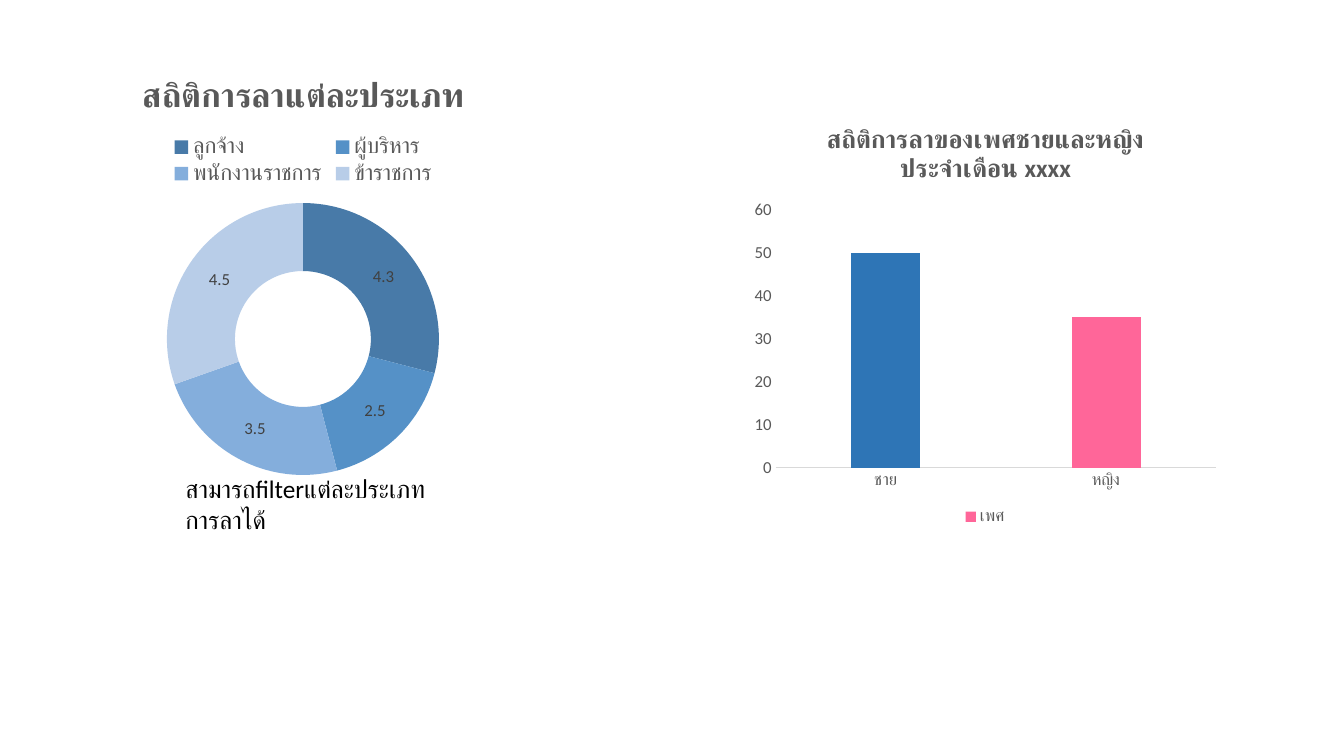
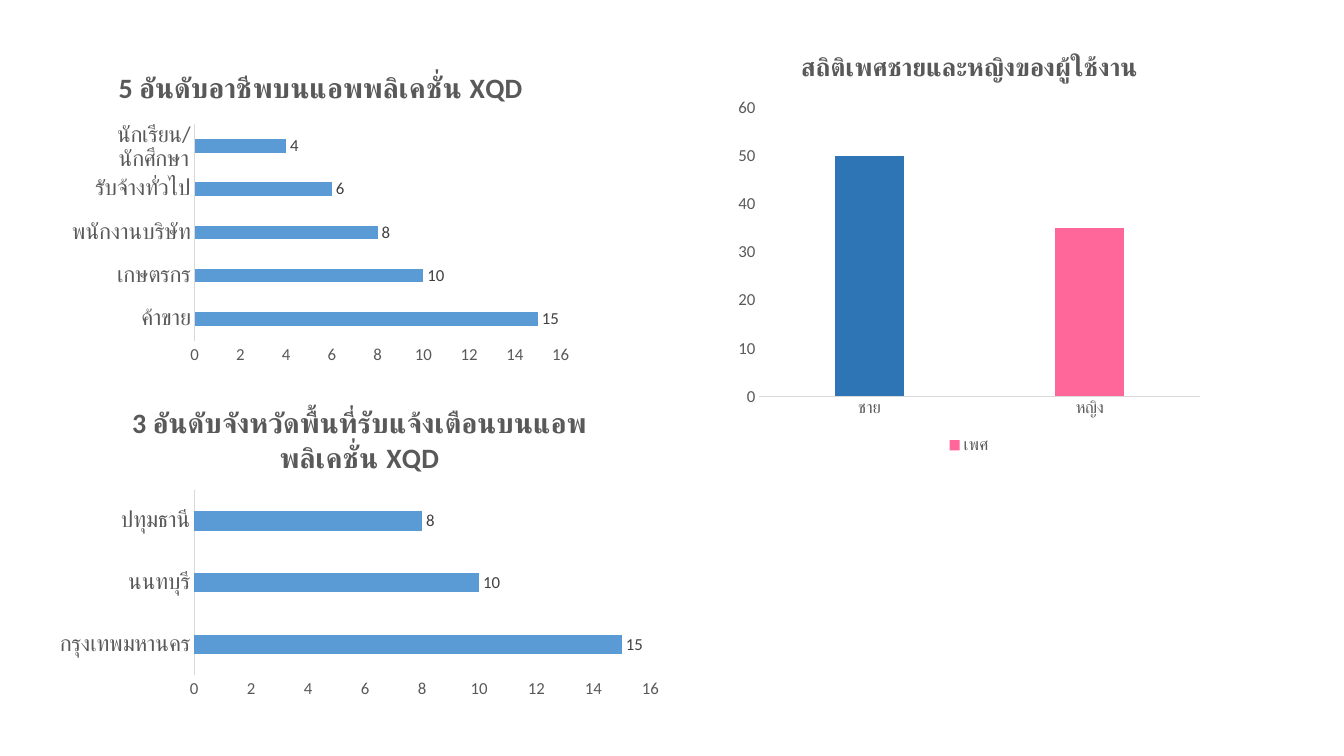
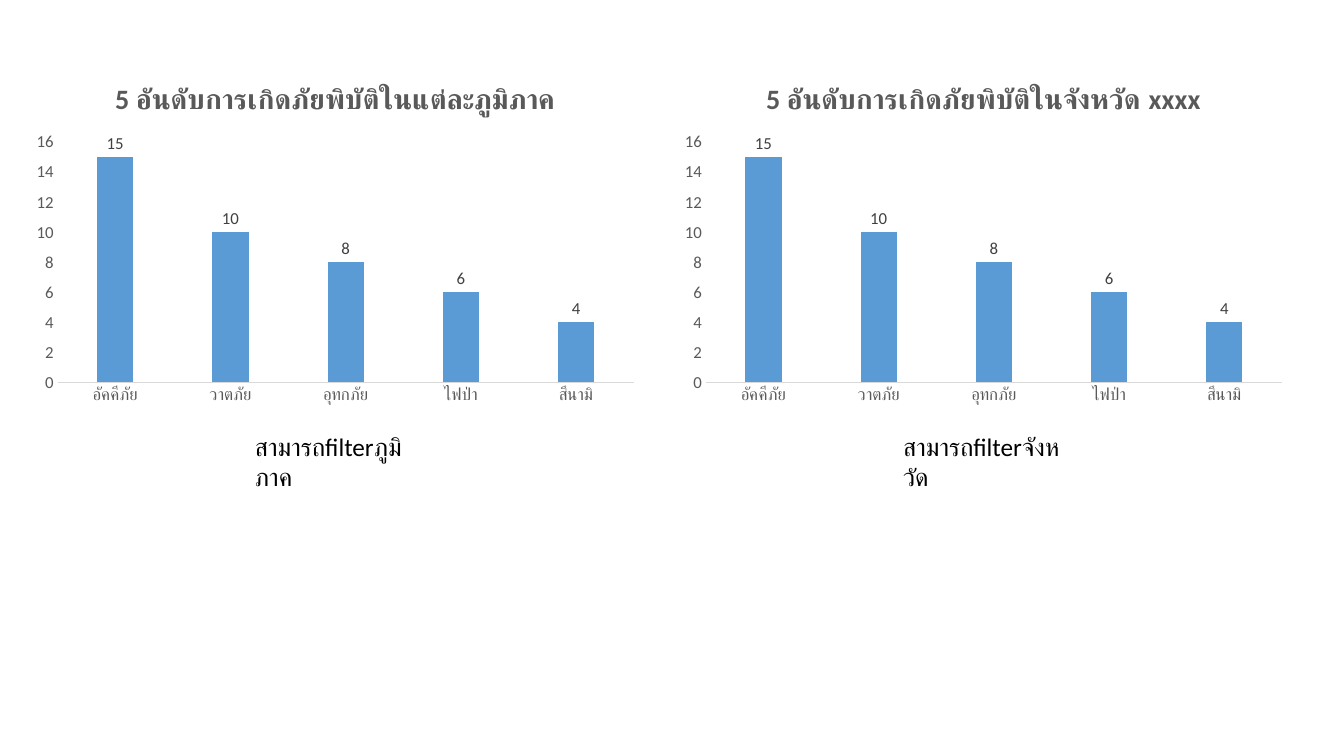
from pptx import Presentation
from pptx.chart.data import CategoryChartData
from pptx.dml.color import RGBColor
from pptx.enum.chart import XL_CHART_TYPE, XL_LABEL_POSITION, XL_LEGEND_POSITION, XL_TICK_MARK
from pptx.enum.text import MSO_AUTO_SIZE
from pptx.util import Inches, Pt

# Shared style
WIDTH, HEIGHT = 13.33, 7.5
FONT = "Calibri"
BLACK, GREY, LABEL, RULE = "000000", "595959", "404040", "D9D9D9"
BLUE, MALE, FEMALE = "5B9BD5", "2E75B6", "FF6699"
DOUGHNUT_BLUES = ["487AA8", "5591C7", "84AEDC", "B8CDE8"]
COLUMN, BAR = XL_CHART_TYPE.COLUMN_CLUSTERED, XL_CHART_TYPE.BAR_CLUSTERED
RANKS = [15, 10, 8, 6, 4]


def color(value):
    return RGBColor.from_string(value)


def place(left, top, width, height):
    """Turn percentages of the slide into lengths."""
    return (Inches(WIDTH * left / 100), Inches(HEIGHT * top / 100),
            Inches(WIDTH * width / 100), Inches(HEIGHT * height / 100))


def style_font(font, size, tone=GREY, bold=False):
    font.name, font.size, font.bold = FONT, Pt(size), bold
    font.color.rgb = color(tone)


def write_text(frame, text, size=18, tone=BLACK, bold=False):
    span = frame.paragraphs[0].add_run()
    span.text = text
    style_font(span.font, size, tone, bold)


def paint(part, tone):
    part.format.fill.solid()
    part.format.fill.fore_color.rgb = color(tone)


def add_note(page, area, text):
    frame = page.shapes.add_textbox(*place(*area)).text_frame
    frame.word_wrap = True
    frame.auto_size = MSO_AUTO_SIZE.SHAPE_TO_FIT_TEXT
    write_text(frame, text)


# Parts common to all charts
def add_chart(page, kind, area, title, title_size, names, values, series="Series 1"):
    data = CategoryChartData()
    data.categories = names
    data.add_series(series, values)
    chart = page.shapes.add_chart(kind, *place(*area), data).chart
    style_font(chart.font, 10, BLACK)
    chart.has_title = True
    write_text(chart.chart_title.text_frame, title, title_size, GREY, True)
    chart.has_legend = False
    return chart


def add_legend(chart, position, size):
    chart.has_legend = True
    chart.legend.position = position
    chart.legend.include_in_layout = False
    style_font(chart.legend.font, size)


def add_labels(plot, position=None):
    plot.has_data_labels = True
    labels = plot.data_labels
    labels.show_value = True
    labels.show_percentage = False
    style_font(labels.font, 12, LABEL)
    if position is not None:
        labels.position = position


# Kinds of chart
def add_doughnut(page, area, title, names, values):
    chart = add_chart(page, XL_CHART_TYPE.DOUGHNUT, area, title, 24, names, values)
    add_legend(chart, XL_LEGEND_POSITION.TOP, 16)
    plot = chart.plots[0]
    plot.vary_by_categories = True
    add_labels(plot)
    for index, tone in enumerate(DOUGHNUT_BLUES):
        paint(plot.series[0].points[index], tone)


def add_bars(page, kind, area, title, names, values, title_size=20,
             series="Series 1", tone=BLUE, labels=True):
    chart = add_chart(page, kind, area, title, title_size, names, values, series)
    plot = chart.plots[0]
    plot.vary_by_categories = False
    plot.gap_width = 219
    if kind == COLUMN:
        plot.overlap = -27
    paint(plot.series[0], tone)
    if labels:
        add_labels(plot, XL_LABEL_POSITION.OUTSIDE_END)
    for axis in (chart.category_axis, chart.value_axis):
        axis.has_major_gridlines = False
        axis.major_tick_mark = axis.minor_tick_mark = XL_TICK_MARK.NONE
        style_font(axis.tick_labels.font, 12)
    chart.value_axis.format.line.fill.background()
    line = chart.category_axis.format.line
    line.color.rgb = color(RULE)
    line.width = Pt(0.75)
    if kind == BAR:
        chart.category_axis.tick_labels.font.size = Pt(16)
    return chart


def add_gender_chart(page, left, top, title):
    chart = add_bars(page, COLUMN, (left, top, 35.78, 55.87), title, ["ชาย", "หญิง"],
                     [50, 35], 18, series="เพศ", tone=FEMALE, labels=False)
    paint(chart.plots[0].series[0].points[0], MALE)
    add_legend(chart, XL_LEGEND_POSITION.BOTTOM, 12)


# Slides
def build_leave(page):
    add_doughnut(page, (3.45, 7.47, 38.18, 57.2), "สถิติการลาแต่ละประเภท",
                 ["ลูกจ้าง", "ผู้บริหาร", "พนักงานราชการ", "ข้าราชการ"], [4.3, 2.5, 3.5, 4.5])
    add_note(page, (13.05, 62, 21.15, 5.33), "สามารถfilterแต่ละประเภทการลาได้")
    add_gender_chart(page, 55.43, 14.13, "สถิติการลาของเพศชายและหญิงประจำเดือน xxxx")


def build_users(page):
    add_bars(page, BAR, (4.58, 6.8, 38.55, 42.27), "5 อันดับอาชีพบนแอพพลิเคชั่น XQD",
             ["ค้าขาย", "เกษตรกร", "พนักงานบริษัท", "รับจ้างทั่วไป", "นักเรียน/นักศึกษา"], RANKS)
    add_gender_chart(page, 54.23, 4.67, "สถิติเพศชายและหญิงของผู้ใช้งาน")
    add_bars(page, BAR, (3.53, 51.07, 46.43, 42.27),
             "3 อันดับจังหวัดพื้นที่รับแจ้งเตือนบนแอพพลิเคชั่น XQD",
             ["กรุงเทพมหานคร", "นนทบุรี", "ปทุมธานี"], RANKS[:3])


def build_disasters(page):
    disasters = ["อัคคีภัย", "วาตภัย", "อุทกภัย", "ไฟป่า", "สึนามิ"]
    halves = [("ในแต่ละภูมิภาค", "ภูมิภาค"), ("ในจังหวัด xxxx", "จังหวัด")]
    for index, (scope, filter_name) in enumerate(halves):
        shift = index * 48.23
        add_bars(page, COLUMN, (1.8 + shift, 8.13, 46.28, 46.13),
                 "5 อันดับการเกิดภัยพิบัติ" + scope, disasters, RANKS)
        add_note(page, (18.23 + shift, 56.4, 13.2, 5.33), "สามารถfilter" + filter_name)


def main():
    deck = Presentation()
    deck.slide_width, deck.slide_height = Inches(WIDTH), Inches(HEIGHT)
    for build in (build_leave, build_users, build_disasters):
        build(deck.slides.add_slide(deck.slide_layouts[6]))
    deck.save("out.pptx")


if __name__ == "__main__":
    main()
